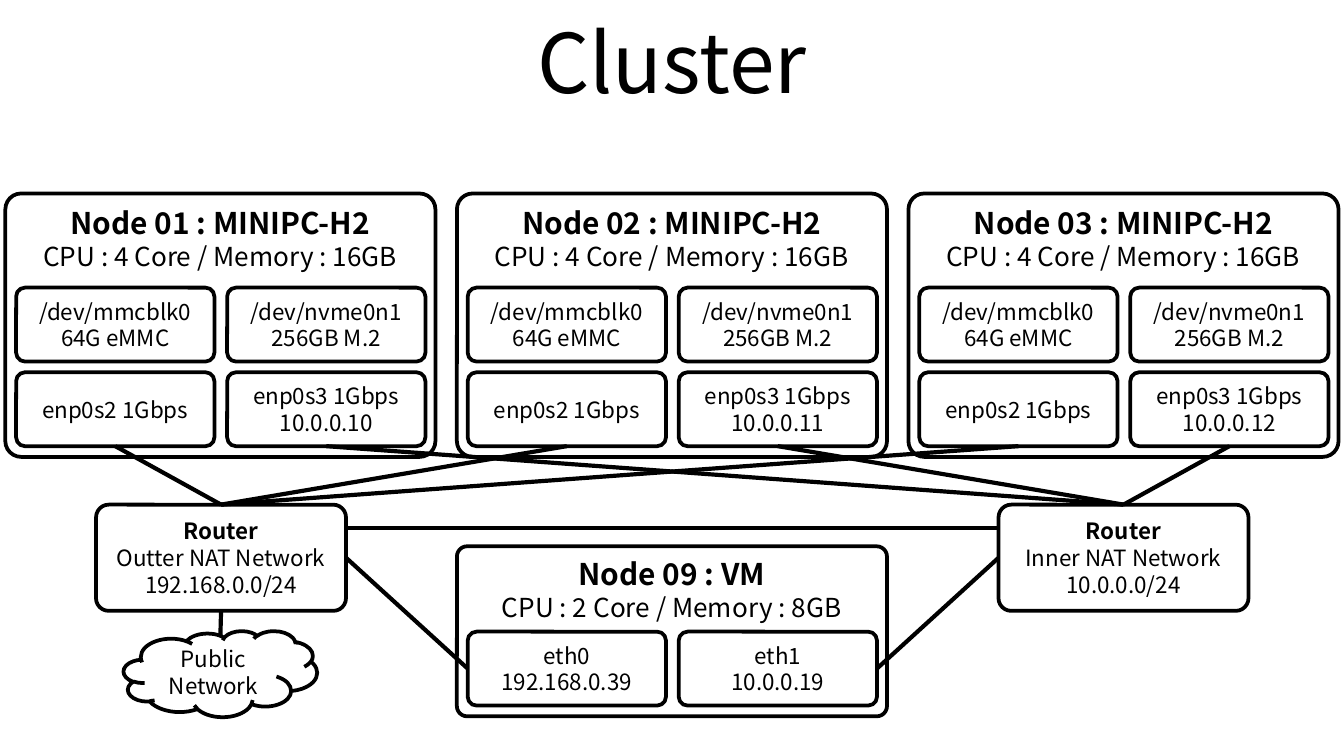
import pptx
import pptx.util
import pptx.dml.color
import pptx.enum.shapes
import pptx.enum.text
import pptx.oxml.ns
import lxml.etree

PX = 4572
FONT = "Noto Sans CJK KR"
COLORS = {"ink": "000000", "paper": "FFFFFF"}
ink = pptx.dml.color.RGBColor.from_string(COLORS["ink"])
paper = pptx.dml.color.RGBColor.from_string(COLORS["paper"])
kinds = pptx.enum.shapes.MSO_SHAPE
anchor = pptx.enum.text.MSO_ANCHOR
center = pptx.enum.text.PP_ALIGN.CENTER
TOP, LEFT, BOTTOM, RIGHT = range(4)

deck = pptx.Presentation()
deck.slide_width = 2000 * PX
deck.slide_height = 1125 * PX
slide = deck.slides.add_slide(deck.slide_layouts[5])


def box(x, y, w, h, lines, kind=kinds.ROUNDED_RECTANGLE, curve=0.12, place=anchor.MIDDLE):
    shape = slide.shapes.add_shape(kind, x * PX, y * PX, w * PX, h * PX)
    shape.shadow.inherit = False
    shape.fill.background()
    shape.line.color.rgb = ink
    shape.line.width = pptx.util.Pt(2)
    if kind == kinds.ROUNDED_RECTANGLE:
        shape.adjustments[0] = curve
    frame = shape.text_frame
    frame.word_wrap = True
    frame.vertical_anchor = place
    for i, (text, size, bold) in enumerate(lines):
        para = frame.add_paragraph() if i else frame.paragraphs[0]
        para.alignment = center
        run = para.add_run()
        run.text = text
        run.font.name = FONT
        run.font.size = pptx.util.Pt(size)
        run.font.bold = bold
        run.font.color.rgb = ink
    return shape


def link(x1, y1, x2, y2):
    line = slide.shapes.add_connector(
        pptx.enum.shapes.MSO_CONNECTOR.STRAIGHT, x1 * PX, y1 * PX, x2 * PX, y2 * PX)
    line.line.color.rgb = ink
    line.line.width = pptx.util.Pt(2.25)
    lxml.etree.SubElement(line._element.spPr, pptx.oxml.ns.qn("a:effectLst"))
    return line


title = slide.shapes.title
title.left, title.top = 100 * PX, -4 * PX
title.width, title.height = 1800 * PX, 188 * PX
title.text_frame.vertical_anchor = anchor.MIDDLE
head = title.text_frame.paragraphs[0]
head.alignment = center
run = head.add_run()
run.text = "Cluster"
run.font.name = FONT
run.font.size = pptx.util.Pt(44)
run.font.color.rgb = ink

nodes = []
for i in range(3):
    cells = [["/dev/mmcblk0", "64G eMMC"], ["/dev/nvme0n1", "256GB M.2"],
             ["enp0s2 1Gbps"], ["enp0s3 1Gbps", f"10.0.0.{10 + i}"]]
    nodes.append((8 + 672 * i, 288, 392, f"Node 0{i + 1} : MINIPC-H2",
                  "CPU : 4 Core / Memory : 16GB", cells))
nodes.append((680, 813, 253, "Node 09 : VM", "CPU : 2 Core / Memory : 8GB",
              [["eth0", "192.168.0.39"], ["eth1", "10.0.0.19"]]))

ports = []
for x, y, h, name, specs, cells in nodes:
    box(x, y, 640, h, [(name, 16, True), (specs, 14, False)], curve=0.06, place=anchor.TOP)
    first = y + h - 126 * (len(cells) // 2)
    made = []
    for i, cell in enumerate(cells):
        row, col = divmod(i, 2)
        lines = [(text, 12, False) for text in cell]
        made.append(box(x + 16 + 314 * col, first + 126 * row, 295, 110, lines))
    ports.append(made[-2:])

routers = []
for x, name, net in [(143, "Outter NAT Network", "192.168.0.0/24"),
                     (1486, "Inner NAT Network", "10.0.0.0/24")]:
    lines = [("Router", 12, True), (name, 12, False), (net, 12, False)]
    routers.append(box(x, 751, 372, 158, lines))

for side, router in enumerate(routers):
    for pair in ports[:3]:
        line = link(0, 0, 0, 0)
        line.begin_connect(pair[side], BOTTOM)
        line.end_connect(router, TOP)
    line = link(0, 0, 0, 0)
    line.begin_connect(ports[3][side], (LEFT, RIGHT)[side])
    line.end_connect(router, (RIGHT, LEFT)[side])
link(1486, 786, 515, 786)
link(329, 909, 328, 946)

cloud = box(184, 939, 288, 128, [("Public", 12, False), ("Network", 12, False)], kinds.CLOUD)
cloud.fill.solid()
cloud.fill.fore_color.rgb = paper

deck.save("out.pptx")
